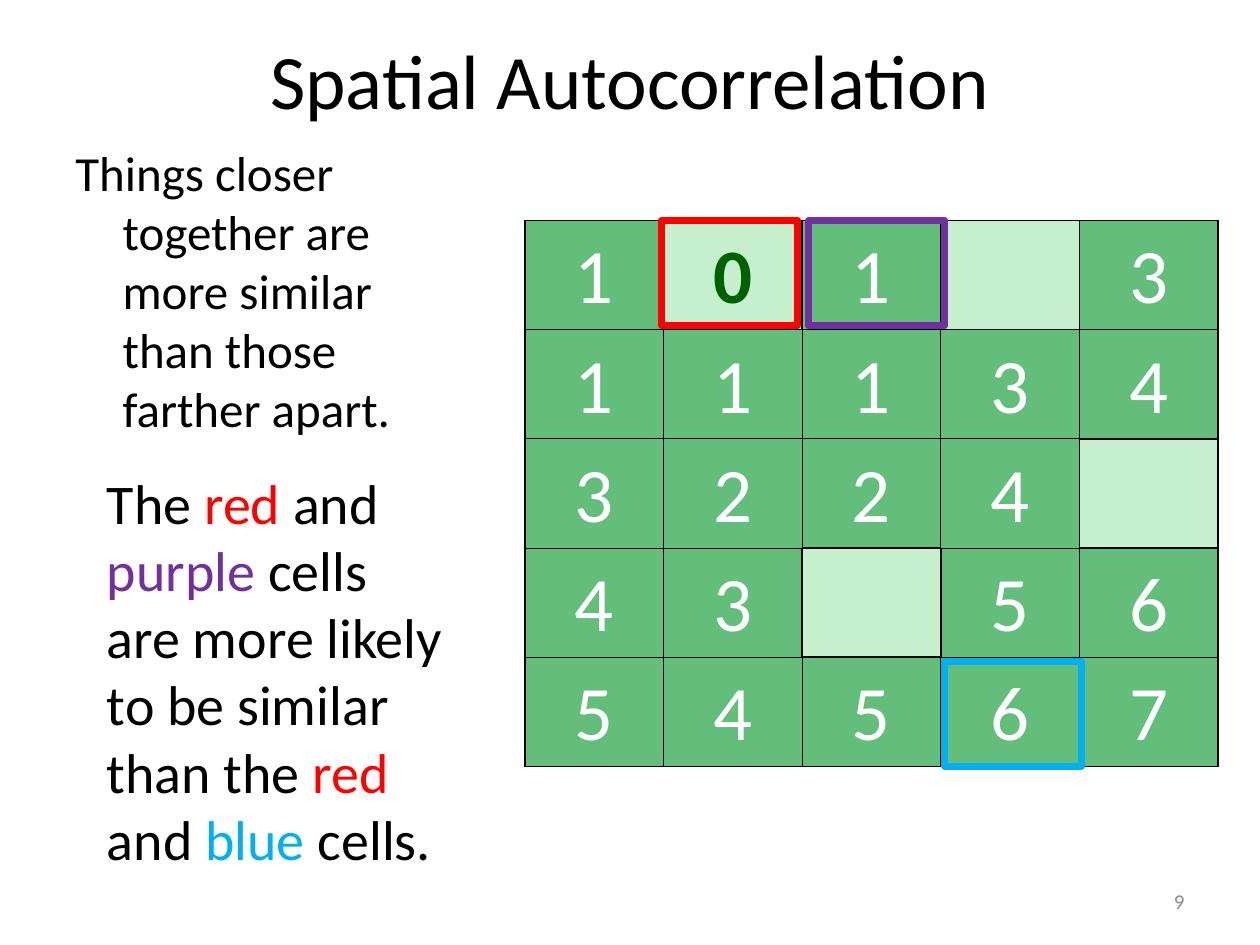
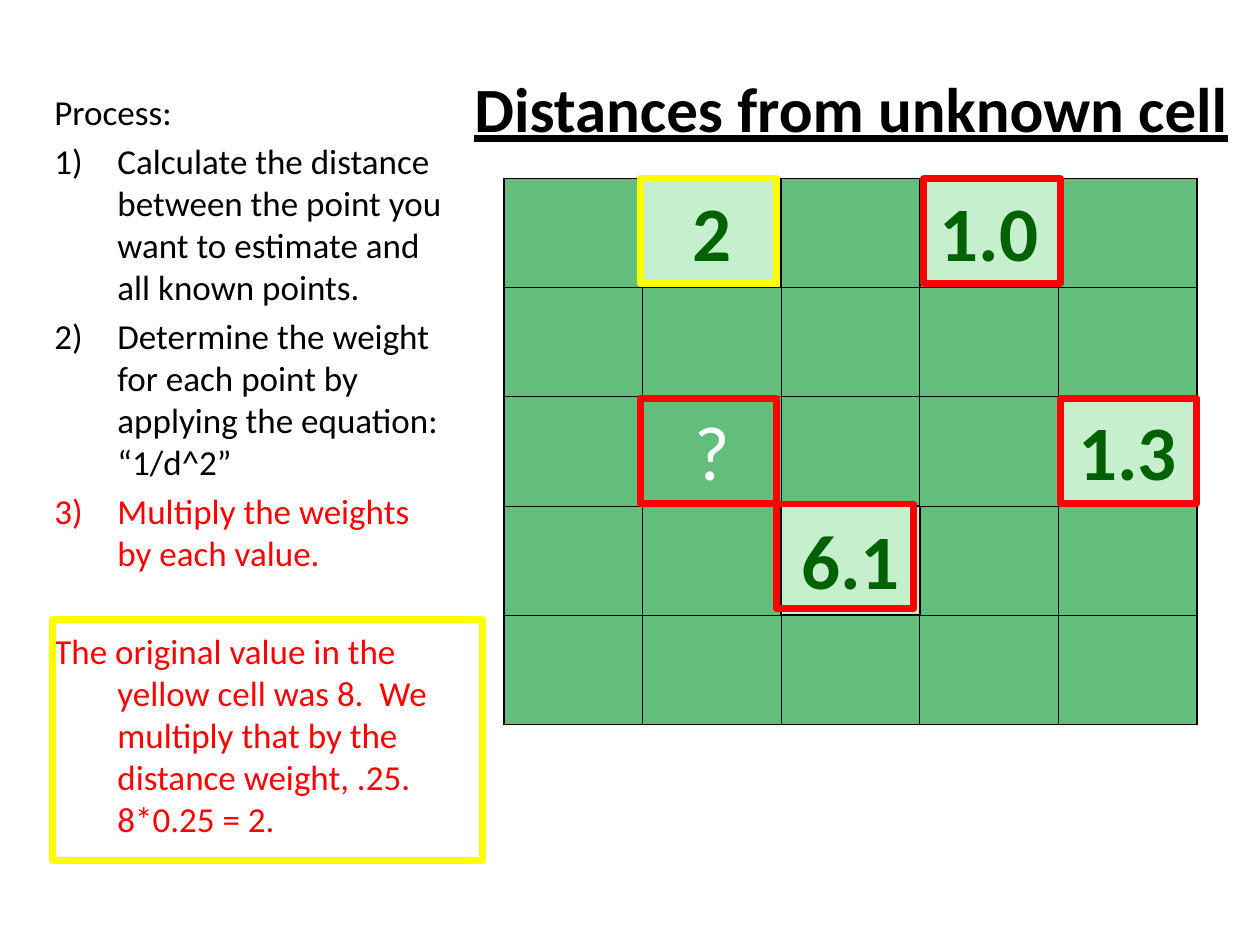
from pptx import Presentation
from pptx.dml.color import RGBColor
from pptx.enum.shapes import MSO_SHAPE
from pptx.enum.text import MSO_ANCHOR as ANCHOR, PP_ALIGN as ALIGN
from pptx.oxml.ns import qn
from pptx.util import Inches, Pt
from lxml.etree import SubElement, Element

FONT = "Calibri"
BLACK = RGBColor(0x00, 0x00, 0x00)
WHITE = RGBColor(0xFF, 0xFF, 0xFF)
GREY = RGBColor(0x8C, 0x8C, 0x8C)
RED = RGBColor(0xFF, 0x00, 0x00)
PURPLE = RGBColor(0x70, 0x30, 0xA0)
BLUE = RGBColor(0x00, 0xB0, 0xF0)
YELLOW = RGBColor(0xFF, 0xFF, 0x00)
GREEN = RGBColor(0x63, 0xBE, 0x7B)
LIGHT_GREEN = RGBColor(0xC6, 0xEF, 0xCE)
DARK_GREEN = RGBColor(0x00, 0x61, 0x00)

UNIT = Inches(1) // 12  # the slide is a grid of 120 columns by 90 rows
GRID_SIZE = 5
KNOWN_CELLS = {(0, 1), (0, 3), (2, 4), (3, 2)}
OUTLINE_SIZE = (13, 10)

SIMILARITY_VALUES = ["1 0 1 - 3", "1 1 1 3 4", "3 2 2 4 -", "4 3 - 5 6", "5 4 5 6 7"]
WEIGHTED_VALUES = ["- 2 - 1.0 -", "- - - - -", "- ? - - 1.3", "- - 6.1 - -", "- - - - -"]


def units(*counts):
    return [int(n * UNIT) for n in counts]


def style_font(font, size, color, bold=False):
    font.name = FONT
    font.size = Pt(size)
    font.color.rgb = color
    font.bold = bold


def add_text_frame(slide, box, anchor=ANCHOR.TOP):
    tf = slide.shapes.add_textbox(*units(*box)).text_frame
    tf.word_wrap = True
    tf.vertical_anchor = anchor
    return tf


def add_paragraph(tf, text, size, color=BLACK, bold=False, align=ALIGN.LEFT,
                  before=0, hanging=0, numbered=False):
    """Add a paragraph, reusing the empty first one; hanging is in grid units."""
    first = tf.paragraphs[0]
    p = tf.add_paragraph() if first.runs else first
    p.alignment = align
    p.space_before = Pt(before)
    style_font(p.font, size, color, bold)
    if text:
        p.add_run().text = text
    if hanging:
        pPr = p._p.get_or_add_pPr()
        indent = int(hanging * UNIT)
        pPr.set("marL", str(indent))
        pPr.set("indent", str(-indent))
        if numbered:
            number = Element(qn("a:buAutoNum"), type="arabicParenR")
            pPr.insert(pPr.index(pPr.find(qn("a:defRPr"))), number)
    return p


def add_outline(slide, left, top, color, size=OUTLINE_SIZE):
    sp = slide.shapes.add_shape(MSO_SHAPE.RECTANGLE, *units(left, top, *size))
    sp.shadow.inherit = False
    sp.fill.background()
    sp.line.color.rgb = color
    sp.line.width = Pt(4)


def set_borders(cell, row, col):
    """Edges on the rim or beside a known cell are 1 pt, the rest 0.5 pt."""
    neighbours = {"L": (row, col - 1), "R": (row, col + 1),
                  "T": (row - 1, col), "B": (row + 1, col)}
    tcPr = cell._tc.get_or_add_tcPr()
    for i, (side, (r, c)) in enumerate(neighbours.items()):
        on_rim = not (0 <= r < GRID_SIZE and 0 <= c < GRID_SIZE)
        strong = on_rim or KNOWN_CELLS & {(row, col), (r, c)}
        ln = Element(qn(f"a:ln{side}"), w=str(Pt(1 if strong else 0.5)))
        fill = SubElement(ln, qn("a:solidFill"))
        SubElement(fill, qn("a:srgbClr"), val=str(BLACK))
        tcPr.insert(i, ln)


def add_cell_grid(slide, left, top, rows):
    """Draw the square of cells; a dash in a row stands for an empty cell."""
    table = slide.shapes.add_table(GRID_SIZE, GRID_SIZE, *units(left, top, 66, 52)).table
    table.first_row = table.horz_banding = False
    for row, values in enumerate(rows):
        for col, value in enumerate(values.split()):
            cell = table.cell(row, col)
            known = (row, col) in KNOWN_CELLS
            cell.fill.solid()
            cell.fill.fore_color.rgb = LIGHT_GREEN if known else GREEN
            set_borders(cell, row, col)
            if value != "-":
                cell.vertical_anchor = ANCHOR.MIDDLE
                cell.margin_left = cell.margin_right = cell.margin_top = Inches(0.04)
                cell.margin_bottom = 0
                add_paragraph(cell.text_frame, value, 44, DARK_GREEN if known else WHITE,
                              bold=known, align=ALIGN.CENTER)


def build_autocorrelation(slide):
    title = add_text_frame(slide, (6, 0, 108, 15), ANCHOR.MIDDLE)
    add_paragraph(title, "Spatial Autocorrelation", 44, align=ALIGN.CENTER)
    page = add_text_frame(slide, (86, 83.4, 28, 4.8), ANCHOR.MIDDLE)
    add_paragraph(page, "9", 12, GREY, align=ALIGN.RIGHT)
    principle = add_text_frame(slide, (6, 13, 40, 59.4))
    add_paragraph(principle, "Things closer together are more similar than those farther apart.",
                  28, before=5.6, hanging=4.5)

    add_cell_grid(slide, 50, 21, SIMILARITY_VALUES)
    for left, top, color in [(63, 21, RED), (77, 21, PURPLE), (90, 63, BLUE)]:
        add_outline(slide, left, top, color)

    p = add_paragraph(add_text_frame(slide, (9, 44, 35, 40)), "", 32)
    for text, color in [("The ", BLACK), ("red ", RED), ("and ", BLACK), ("purple", PURPLE),
                        (" cells are more likely to be similar than the ", BLACK),
                        ("red ", RED), ("and ", BLACK), ("blue ", BLUE), ("cells.", BLACK)]:
        r = p.add_run()
        r.text = text
        r.font.color.rgb = color


def build_distances(slide):
    add_cell_grid(slide, 48, 17, WEIGHTED_VALUES)

    process = add_text_frame(slide, (4, 8, 40, 76))
    add_paragraph(process, "Process:", 20, before=4, hanging=4.5)
    for step, color in [
        ("Calculate the distance between the point you want to estimate and all known points.", BLACK),
        ("Determine the weight for each point by applying the equation: “1/d^2”", BLACK),
        ("Multiply the weights by each value.", RED),
    ]:
        add_paragraph(process, step, 20, color, before=4, hanging=6, numbered=True)
    add_paragraph(process, "The original value in the yellow cell was 8.  We multiply that by "
                  "the distance weight, .25. 8*0.25 = 2.", 20, RED, before=32, hanging=6)

    heading = add_text_frame(slide, (44, 6, 81, 8.5))
    p = add_paragraph(heading, "Distances from unknown cell", 36, bold=True)
    p.font.underline = True

    for left, top, color in [(61, 38, RED), (74, 48, RED), (101, 38, RED),
                             (61, 17, YELLOW), (88, 17, RED)]:
        add_outline(slide, left, top, color)
    add_outline(slide, 5, 59, YELLOW, size=(41, 23))


def main():
    prs = Presentation()
    prs.slide_width, prs.slide_height = units(120, 90)
    blank = prs.slide_layouts[6]
    for build in (build_autocorrelation, build_distances):
        build(prs.slides.add_slide(blank))
    prs.save("out.pptx")


if __name__ == "__main__":
    main()
